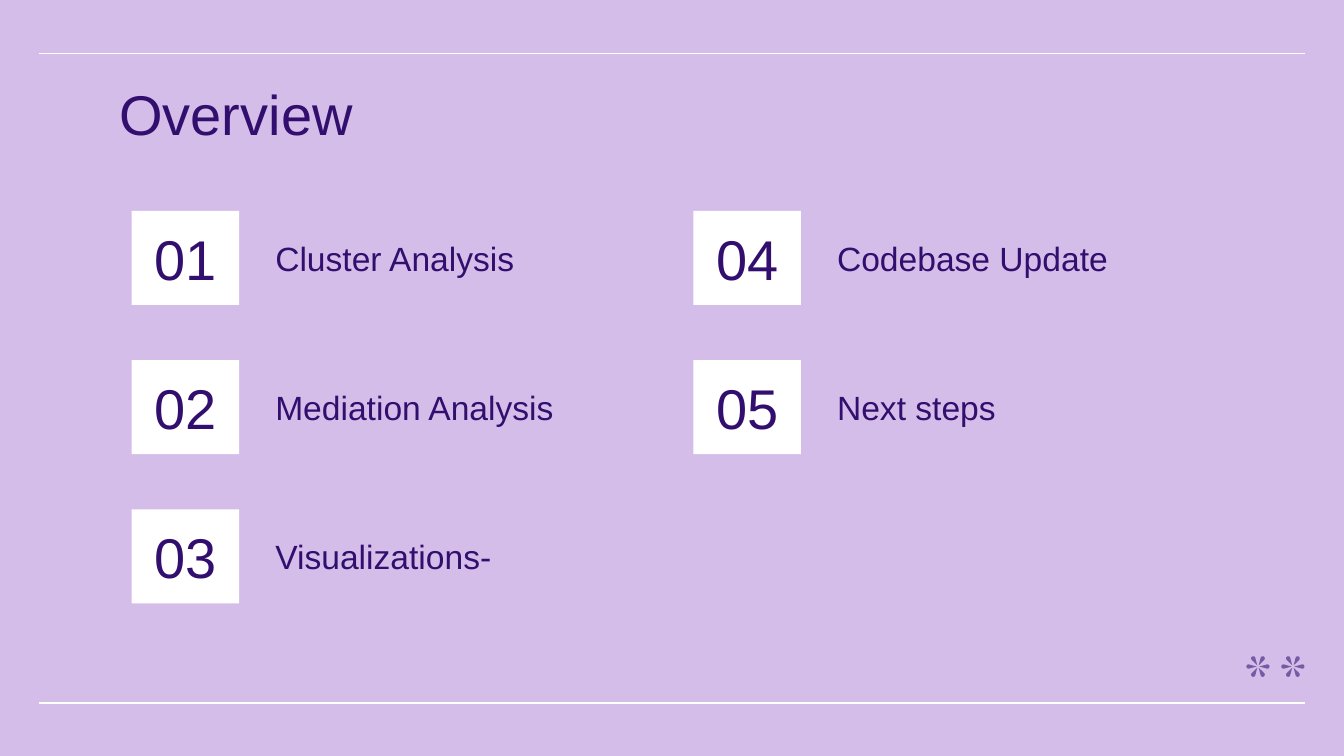
from math import cos, sin, radians
from pptx import Presentation
from pptx import util as u
from pptx.dml.color import RGBColor
from pptx.enum import shapes, text
from pptx.oxml.ns import qn
from lxml import etree

COLORS = {"lilac": "D4BEE9", "white": "FFFFFF", "ink": "320E6E", "petal": "785AA3"}
FONT = "Arial"
WIDTH = 10
HEIGHT = WIDTH * 9 / 16
MARGIN = 0.29

TITLE = "Overview"
TOPICS = [
    "Cluster Analysis",
    "Mediation Analysis",
    "Visualizations-",
    "Codebase Update",
    "Next steps",
]
ROWS = 3
GRID_LEFT, GRID_TOP = 0.98, 1.57
COL_STEP, ROW_STEP = 4.18, 1.11
BADGE_W, BADGE_H = 0.8, 0.7
LABEL_DX, LABEL_DY, LABEL_W, LABEL_H = 0.97, 0.1, 2.89, 0.5
INSET = 0.1

RULES = [0.4, 5.23]
FLOWERS = [(9.36, 4.96), (9.62, 4.96)]
PETALS = 6
PETAL_START, PETAL_REACH, PETAL_RADIUS = 0.01, 0.07, 0.016


def rgb(name):
    return RGBColor.from_string(COLORS[name])


def paint(sp, color):
    sp.shadow.inherit = False
    sp.fill.solid()
    sp.fill.fore_color.rgb = rgb(color)
    sp.line.fill.background()


def write(sp, content, size, align=text.PP_ALIGN.LEFT, anchor=text.MSO_ANCHOR.TOP):
    tf = sp.text_frame
    tf.word_wrap = True
    tf.vertical_anchor = anchor
    tf.margin_left = tf.margin_right = u.Inches(INSET)
    tf.margin_top = tf.margin_bottom = u.Inches(INSET)
    p = tf.paragraphs[0]
    p.alignment = align
    r = p.add_run()
    r.text = content
    r.font.name, r.font.size = FONT, u.Pt(size)
    r.font.color.rgb = rgb("ink")


def add_rule(s, y):
    line = s.shapes.add_connector(
        shapes.MSO_CONNECTOR.STRAIGHT,
        u.Inches(MARGIN), u.Inches(y), u.Inches(WIDTH - MARGIN), u.Inches(y))
    line.line.color.rgb = rgb("white")
    line.line.width = u.Pt(0.75)
    etree.SubElement(line._element.spPr, qn("a:effectLst"))


def add_petal(s, cx, cy, angle):
    outline = [(PETAL_START, 0)] + [
        (PETAL_REACH + PETAL_RADIUS * cos(radians(a)), PETAL_RADIUS * sin(radians(a)))
        for a in range(-100, 101, 20)]
    c, n = cos(angle), sin(angle)
    points = [(u.Inches(cx + x * c - y * n), u.Inches(cy + x * n + y * c))
              for x, y in outline]
    builder = s.shapes.build_freeform(*points[0])
    builder.add_line_segments(points[1:], close=True)
    paint(builder.convert_to_shape(), "petal")


def add_label(s, box, content, size):
    write(s.shapes.add_textbox(*map(u.Inches, box)), content, size)


def add_badge(s, x, y, number):
    sp = s.shapes.add_shape(
        shapes.MSO_SHAPE.RECTANGLE, *map(u.Inches, (x, y, BADGE_W, BADGE_H)))
    paint(sp, "white")
    write(sp, f"{number:02d}", 30, text.PP_ALIGN.CENTER, text.MSO_ANCHOR.BOTTOM)


def main():
    prs = Presentation()
    prs.slide_width, prs.slide_height = u.Inches(WIDTH), u.Inches(HEIGHT)
    s = prs.slides.add_slide(prs.slide_layouts[6])
    s.background.fill.solid()
    s.background.fill.fore_color.rgb = rgb("lilac")

    for y in RULES:
        add_rule(s, y)
    for cx, cy in FLOWERS:
        for i in range(PETALS):
            add_petal(s, cx, cy, radians(i * 360 / PETALS))

    add_label(s, (0.79, 0.49, 8.43, 0.63), TITLE, 30)
    for i, topic in enumerate(TOPICS):
        col, row = divmod(i, ROWS)
        x, y = GRID_LEFT + col * COL_STEP, GRID_TOP + row * ROW_STEP
        add_badge(s, x, y, i + 1)
        add_label(s, (x + LABEL_DX, y + LABEL_DY, LABEL_W, LABEL_H), topic, 18)

    prs.save("out.pptx")


if __name__ == "__main__":
    main()
